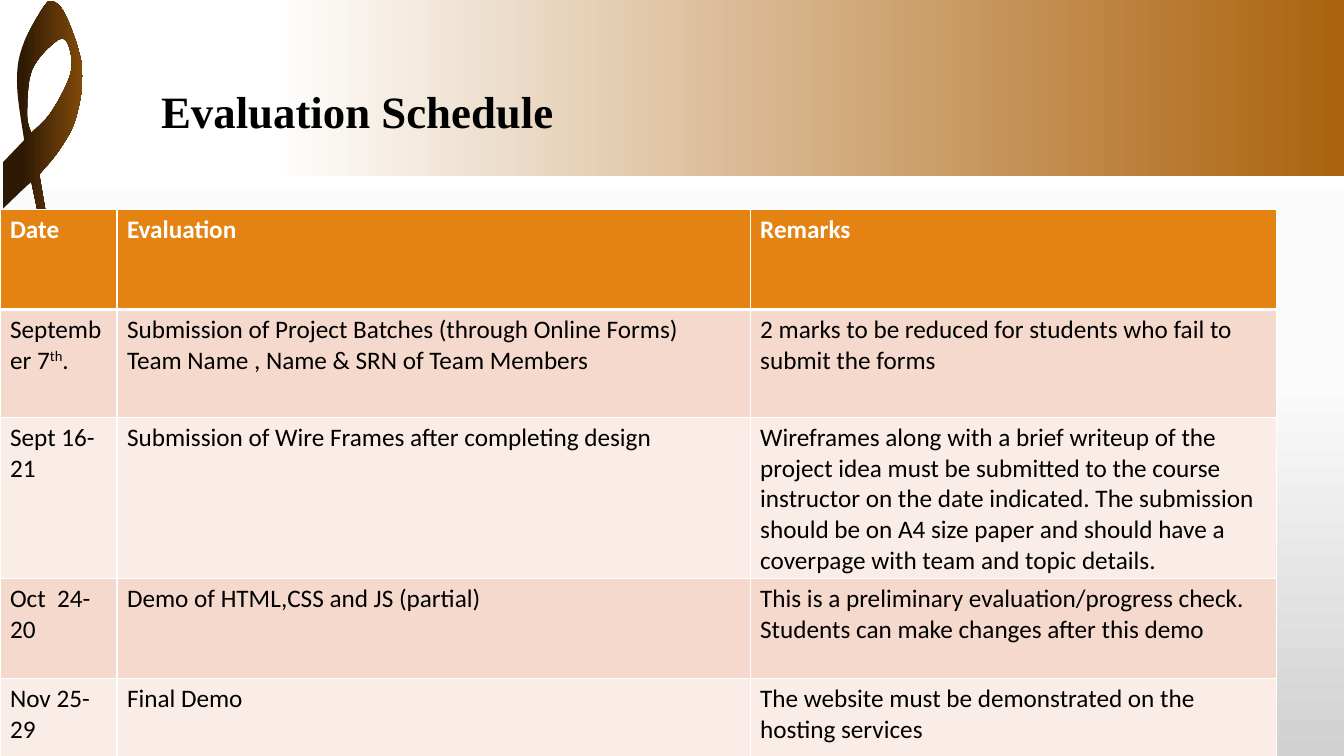
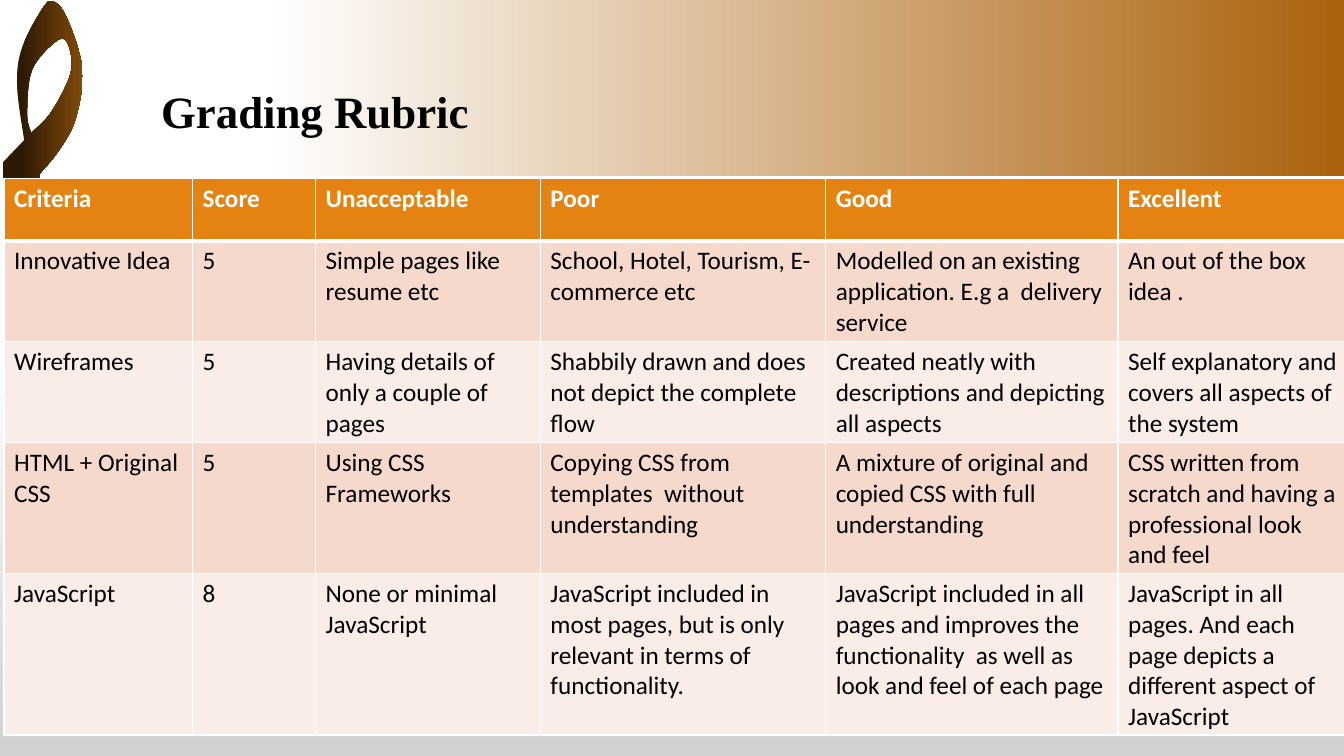
from lxml import etree
from pptx import Presentation
from pptx.dml.color import RGBColor
from pptx.enum.shapes import MSO_SHAPE
from pptx.enum.text import MSO_ANCHOR
from pptx.oxml.ns import qn
from pptx.util import Emu, Pt

RECTANGLE = MSO_SHAPE.RECTANGLE
BOTTOM = MSO_ANCHOR.BOTTOM

EMU_PER_PX = 9144
SLIDE_WIDTH, SLIDE_HEIGHT = 1333, 750
BAND_HEIGHT = 175
CURVE_STEPS = 8

WHITE = RGBColor(0xFF, 0xFF, 0xFF)
BLACK = RGBColor(0x00, 0x00, 0x00)
OFF_WHITE = RGBColor(0xFB, 0xFB, 0xFB)
GREY = RGBColor(0xD1, 0xD1, 0xD1)
BROWN = RGBColor(0xAB, 0x62, 0x0D)
MID_BROWN = RGBColor(0x81, 0x4A, 0x0A)
DARK_BROWN = RGBColor(0x2E, 0x1A, 0x04)
ORANGE = RGBColor(0xE4, 0x83, 0x12)
PEACH = RGBColor(0xF5, 0xD9, 0xCC)
PALE_PEACH = RGBColor(0xFA, 0xED, 0xE7)

TITLE_FONT = "Times New Roman"
TABLE_FONT = "Calibri"
DOWNWARD = 270

RIBBON_LOOP = [(39, 173), (58, 150), (74, 121), (82, 80), (78, 50), (65, 15),
               (54, 2), (44, 6), (22, 47), (17, 85), (24, 139)]
RIBBON_ENDS = [(3, 161), (3, 207), (31, 180), (37, 208), (45, 208)]
RIBBON_HOLE = [(31, 132), (27, 113), (32, 69), (57, 40), (68, 45), (70, 73),
               (51, 111), (31, 132)]

SCHEDULE = [
    ["Date", "Evaluation", "Remarks"],
    ["September 7^th^.",
     "Submission of Project Batches (through Online Forms)\n"
     "Team Name , Name & SRN of Team Members",
     "2 marks to be reduced for students who fail to submit the forms"],
    ["Sept 16-21", "Submission of Wire Frames after completing design",
     "Wireframes along with a brief writeup of the project idea must be "
     "submitted to the course instructor on the date indicated. The submission "
     "should be on A4 size paper and should have a coverpage with team and "
     "topic details."],
    ["Oct  24-20", "Demo of HTML,CSS and JS (partial)",
     "This is a preliminary evaluation/progress check. Students can make "
     "changes after this demo"],
    ["Nov 25-29", "Final Demo",
     "The website must be demonstrated on the hosting services"],
]
RUBRIC = [
    ["Criteria", "Score", "Unacceptable", "Poor", "Good", "Excellent"],
    ["Innovative Idea", "5", "Simple pages like resume etc",
     "School, Hotel, Tourism, E-commerce etc",
     "Modelled on an existing application. E.g a  delivery service",
     "An out of the box idea ."],
    ["Wireframes", "5", "Having details of only a couple of pages",
     "Shabbily drawn and does not depict the complete flow",
     "Created neatly with descriptions and depicting all aspects",
     "Self explanatory and covers all aspects of the system"],
    ["HTML + Original CSS", "5", "Using CSS Frameworks",
     "Copying CSS from templates  without understanding",
     "A mixture of original and copied CSS with full understanding",
     "CSS written from scratch and having a professional look and feel"],
    ["JavaScript", "8", "None or minimal JavaScript",
     "JavaScript included in most pages, but is only relevant in terms of "
     "functionality.",
     "JavaScript included in all pages and improves the functionality  as well "
     "as look and feel of each page",
     "JavaScript in all pages. And each page depicts a different aspect of "
     "JavaScript"],
]


def px(value):
    """Turn a length in px into EMU."""
    return Emu(round(value * EMU_PER_PX))


def set_gradient(fill, owner, stops, angle=0):
    """Give a fill a linear gradient of (percent, colour) stops."""
    fill.gradient()
    fill.gradient_angle = angle
    stop_list = owner.xpath(".//a:gsLst")[0]
    for old_stop in list(stop_list):
        stop_list.remove(old_stop)
    for percent, colour in stops:
        stop = etree.SubElement(stop_list, qn("a:gs"), pos=str(percent * 1000))
        etree.SubElement(stop, qn("a:srgbClr"), val=str(colour))


def set_font(paragraph, name, size, colour, bold):
    """Set the font of a whole paragraph."""
    font = paragraph.font
    font.name, font.size, font.bold = name, Pt(size), bold
    font.color.rgb = colour


def smooth(points):
    """Return points along a Catmull-Rom curve through the given points."""
    padded = [points[0], *points, points[-1]]
    curve = [points[0]]
    for before, start, end, after in zip(padded, padded[1:], padded[2:], padded[3:]):
        for step in range(1, CURVE_STEPS + 1):
            t = step / CURVE_STEPS
            curve.append(tuple(
                b + t * (c - a + t * (2 * a - 5 * b + 4 * c - d
                                      + t * (3 * b - a - 3 * c + d))) / 2
                for a, b, c, d in zip(before, start, end, after)))
    return curve


def finish_ornament(shape, stops):
    """Remove line and shadow and fade the shape from left to right."""
    shape.shadow.inherit = False
    shape.line.fill.background()
    set_gradient(shape.fill, shape.element, stops)


def add_ribbon(page):
    """Draw the looped ribbon at the left edge."""
    outline, hole = (
        [(px(x), px(y)) for x, y in contour]
        for contour in (smooth(RIBBON_LOOP) + RIBBON_ENDS, smooth(RIBBON_HOLE)))
    builder = page.shapes.build_freeform(*outline[0])
    builder.add_line_segments(outline[1:])
    builder.move_to(*hole[0])
    builder.add_line_segments(hole[1:])
    finish_ornament(builder.convert_to_shape(), [(24, DARK_BROWN), (100, MID_BROWN)])


def add_title(page, text):
    """Add the slide title over the band."""
    box = page.shapes.add_textbox(px(150), px(22), px(1033), px(120))
    frame = box.text_frame
    frame.word_wrap = True
    frame.vertical_anchor = BOTTOM
    frame.text = text
    paragraph = frame.paragraphs[0]
    paragraph.line_spacing = 0.9
    set_font(paragraph, TITLE_FONT, 32, BLACK, True)


def add_page(deck, title):
    """Add a slide with band, ribbon and title."""
    page = deck.slides.add_slide(deck.slide_layouts[6])
    band = page.shapes.add_shape(RECTANGLE, 0, 0, px(SLIDE_WIDTH), px(BAND_HEIGHT))
    finish_ornament(band, [(20, WHITE), (100, BROWN)])
    add_ribbon(page)
    add_title(page, title)
    return page


def add_border(cell, side, width):
    """Draw a white border on one side of a cell."""
    border = etree.SubElement(cell._tc.get_or_add_tcPr(), qn(f"a:ln{side}"),
                              w=str(int(Pt(width))))
    fill = etree.SubElement(border, qn("a:solidFill"))
    etree.SubElement(fill, qn("a:srgbClr"), val=str(WHITE))


def write_cell(cell, text, colour, bold):
    """Write lines of text, with parts between carets raised."""
    frame = cell.text_frame
    for index, line in enumerate(text.split("\n")):
        paragraph = frame.add_paragraph() if index else frame.paragraphs[0]
        set_font(paragraph, TABLE_FONT, 18, colour, bold)
        for position, part in enumerate(line.split("^")):
            span = paragraph.add_run()
            span.text = part
            if position % 2:
                span._r.get_or_add_rPr().set("baseline", "30000")


def style_cell(cell, row):
    """Set the borders and fill that belong to a table row."""
    for side in "LRTB":
        under_header = (row, side) in ((0, "B"), (1, "T"))
        add_border(cell, side, 3 if under_header else 1)
    cell.fill.solid()
    cell.fill.fore_color.rgb = (
        ORANGE if row == 0 else PEACH if row % 2 else PALE_PEACH)


def add_grid(page, left, top, widths, heights, rows):
    """Add a table with an orange header and banded rows."""
    frame = page.shapes.add_table(len(rows), len(widths), px(left), px(top),
                                  px(sum(widths)), px(sum(heights)))
    table = frame.table
    for column, width in zip(table.columns, widths):
        column.width = px(width)
    for row, (height, texts) in enumerate(zip(heights, rows)):
        table.rows[row].height = px(height)
        for column, text in enumerate(texts):
            cell = table.cell(row, column)
            style_cell(cell, row)
            write_cell(cell, text, BLACK if row else WHITE, row == 0)


def main():
    """Build and save the deck."""
    deck = Presentation()
    deck.slide_width, deck.slide_height = px(SLIDE_WIDTH), px(SLIDE_HEIGHT)
    master = deck.slide_master
    set_gradient(master.background.fill, master.element,
                 [(0, WHITE), (50, OFF_WHITE), (100, GREY)], DOWNWARD)
    add_grid(add_page(deck, "Evaluation Schedule"), 0, 208,
             [116, 628, 522], [99, 107, 116, 99, 99], SCHEDULE)
    add_grid(add_page(deck, "Grading Rubric"), 4, 177,
             [187, 122, 223, 283, 290, 229], [62] * len(RUBRIC), RUBRIC)
    deck.save("out.pptx")


if __name__ == "__main__":
    main()
